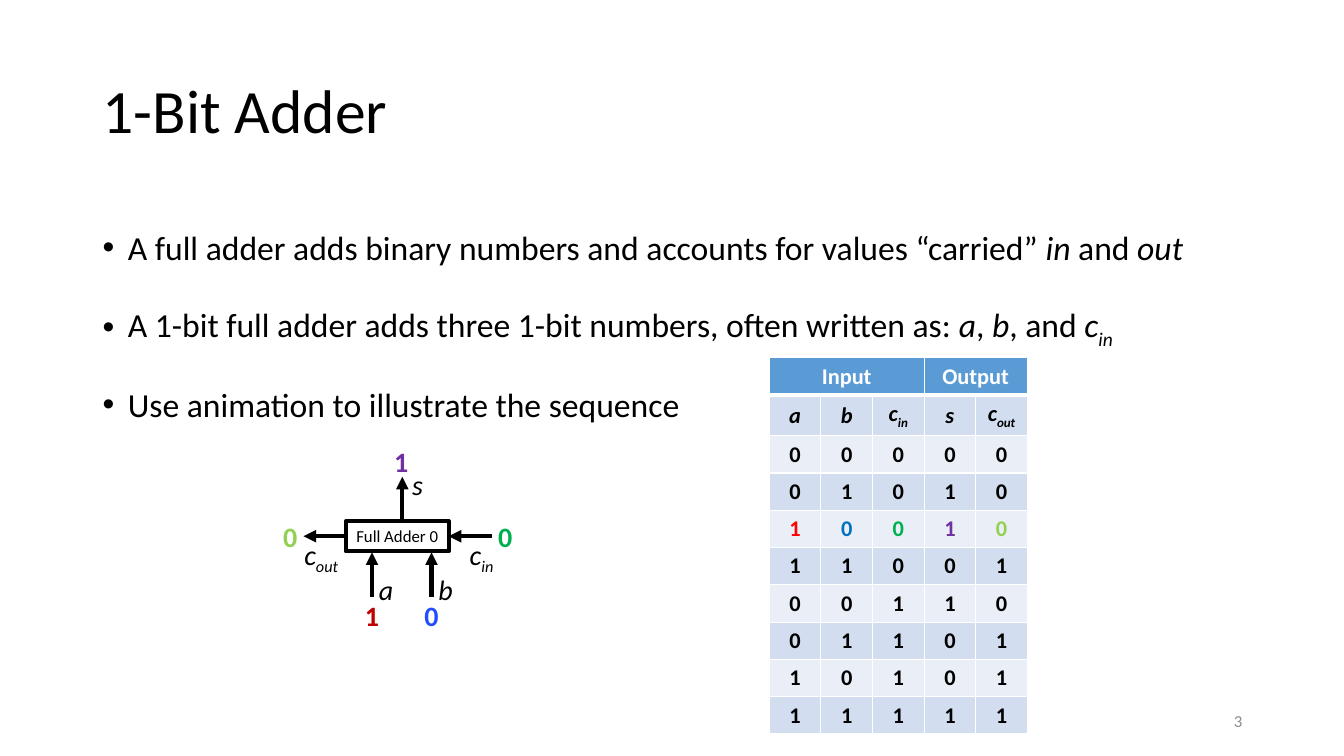
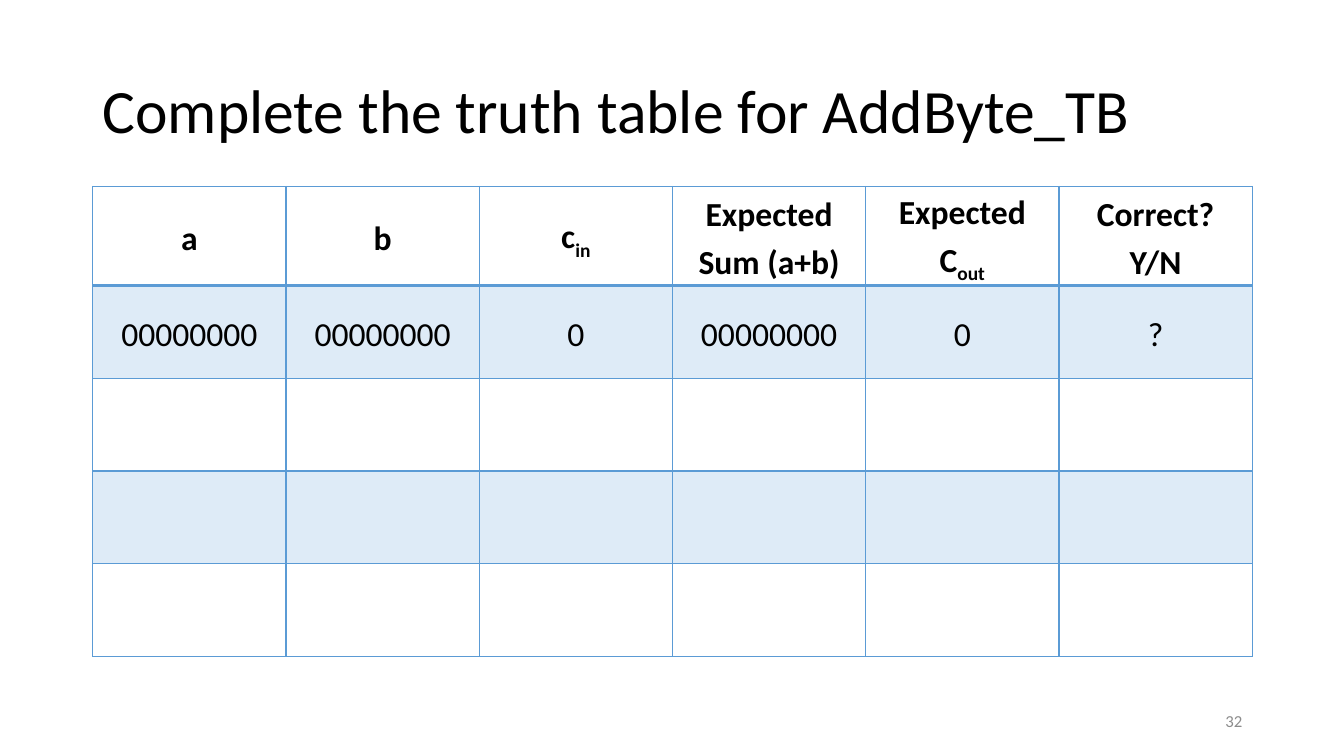
from pptx import Presentation
from pptx.dml.color import RGBColor
from pptx.enum.shapes import MSO_CONNECTOR, MSO_SHAPE
from pptx.enum.text import MSO_ANCHOR, PP_ALIGN
from pptx.oxml.ns import qn
from pptx.util import Inches, Pt
from lxml import etree

LEFT, CENTER, RIGHT = PP_ALIGN.LEFT, PP_ALIGN.CENTER, PP_ALIGN.RIGHT
TOP, MIDDLE = MSO_ANCHOR.TOP, MSO_ANCHOR.MIDDLE
STRAIGHT, RECTANGLE = MSO_CONNECTOR.STRAIGHT, MSO_SHAPE.RECTANGLE

FONT = "Calibri"
COLORS = {
    "black": "000000", "white": "FFFFFF", "gray": "8C8C8C",
    "blue": "5B9BD5", "band": "D2DEEF", "light band": "EAEFF7", "pale blue": "DEEBF7",
    "a": "C00000", "b": "244CFF", "carry in": "00B050", "sum": "7030A0", "carry out": "92D050",
    "a cell": "FF0000", "b cell": "0070C0",
}

C_IN = [("c", "i"), ("in", "is")]
C_OUT = [("c", "i"), ("out", "is")]

ADDER_TITLE = "1-Bit Adder"
BULLETS = [
    [("A full adder adds binary numbers and accounts for values “carried” ", ""),
     ("in ", "i"), ("and ", ""), ("out", "i")],
    [("A 1-bit full adder adds three 1-bit numbers, often written as: ", ""),
     ("a", "i"), (", ", ""), ("b", "i"), (", and ", "")] + C_IN,
    "Use animation to illustrate the sequence",
]
ADDER_BOX = (3.43, 5.17, 1.02, 0.3)
LEFT_SIDE, RIGHT_SIDE = 1, 3
WIRES = [
    {"name": [("a", "i")], "label": (3.66, 5.63, 0.35), "bit": "1", "color": "a",
     "bit center": (3.69, 6.1), "begin": (3.69, 5.92), "end": (3.69, 5.48)},
    {"name": [("b", "i")], "label": (4.25, 5.63, 0.35), "bit": "0", "color": "b",
     "bit center": (4.28, 6.1), "begin": (4.28, 5.92), "end": (4.28, 5.48)},
    {"name": C_IN, "label": (4.56, 5.28, 0.46), "bit": "0", "color": "carry in",
     "bit center": (5.01, 5.32), "begin": (4.88, 5.32), "end": RIGHT_SIDE},
    {"name": [("s", "i")], "label": (3.99, 4.59, 0.31), "bit": "1", "color": "sum",
     "bit center": (3.98, 4.58), "begin": (3.99, 5.17), "end": (3.99, 4.73)},
    {"name": C_OUT, "label": (2.92, 5.28, 0.57), "bit": "0", "color": "carry out",
     "bit center": (2.88, 5.32), "begin": LEFT_SIDE, "end": (3.01, 5.32)},
]
ADDER_TABLE = [
    ["Input", "", "", "Output", ""],
    [[("a", "i")], [("b", "i")], C_IN, [("s", "i")], C_OUT],
    "00000", "01010", "10010", "11001", "00110", "01101", "10101", "11111",
]
HEADER_SPANS = [(0, 2), (3, 4)]
ACTIVE_ROW = 4
ACTIVE_COLORS = ["a cell", "b cell", "carry in", "sum", "carry out"]

BYTE_TITLE = "Complete the truth table for AddByte_TB"
BYTE_TABLE = [
    ["a", "b", [("c", ""), ("in", "s")], "Expected Sum (a+b)",
     ["Expected", [("C", ""), ("out", "s")]], ["Correct?", "Y/N"]],
    ["00000000", "00000000", "0", "00000000", "0", "?"],
    [""] * 6, [""] * 6, [""] * 6,
]


def rgb(name):
    return RGBColor.from_string(COLORS[name])


def add_bullet(paragraph):
    properties = paragraph._p.get_or_add_pPr()
    properties.set("marL", str(Inches(0.25)))
    properties.set("indent", str(-Inches(0.25)))
    etree.SubElement(properties, qn("a:buFont")).set("typeface", "Arial")
    etree.SubElement(properties, qn("a:buChar")).set("char", "•")


def write_text(frame, paragraphs, size=20, color="black", bold=False, align=LEFT,
               spacing=None, before=0, bullet=False):
    for index, runs in enumerate(paragraphs):
        paragraph = frame.add_paragraph() if index else frame.paragraphs[0]
        if bullet:
            add_bullet(paragraph)
        paragraph.alignment = align
        if spacing:
            paragraph.line_spacing = spacing
        if index and before:
            paragraph.space_before = Pt(before)
        paragraph.font.size = Pt(size)
        for text, flags in [(runs, "")] if isinstance(runs, str) else runs:
            if not text:
                continue
            run = paragraph.add_run()
            run.text = text
            run.font.name = FONT
            run.font.size = Pt(size)
            run.font.bold = bold
            run.font.italic = "i" in flags
            run.font.color.rgb = rgb(color)
            if "s" in flags:
                run._r.get_or_add_rPr().set("baseline", "-25000")


def add_text(slide, paragraphs, box, anchor=TOP, wrap=True, **text_format):
    shape = slide.shapes.add_textbox(*map(Inches, box))
    shape.text_frame.word_wrap = wrap
    shape.text_frame.vertical_anchor = anchor
    write_text(shape.text_frame, paragraphs, **text_format)


def add_slide(presentation, title, number):
    slide = presentation.slides.add_slide(presentation.slide_layouts[6])
    add_text(slide, [title], (0.92, 0.4, 11.5, 1.45), anchor=MIDDLE, size=44, spacing=0.9)
    add_text(slide, [number], (9.42, 6.95, 3, 0.4), anchor=MIDDLE, size=12,
             color="gray", align=RIGHT)
    return slide


def add_arrow(slide, box, begin, end):
    begin_point, end_point = ((0, 0) if isinstance(point, int) else point
                              for point in (begin, end))
    arrow = slide.shapes.add_connector(
        STRAIGHT, *map(Inches, begin_point + end_point))
    if isinstance(begin, int):
        arrow.begin_connect(box, begin)
    if isinstance(end, int):
        arrow.end_connect(box, end)
    arrow.line.color.rgb = rgb("black")
    arrow.line.width = Pt(3)
    etree.SubElement(arrow.line._get_or_add_ln(), qn("a:tailEnd")).set("type", "triangle")
    etree.SubElement(arrow._element.spPr, qn("a:effectLst"))


def add_adder(slide):
    box = slide.shapes.add_shape(RECTANGLE, *map(Inches, ADDER_BOX))
    box.shadow.inherit = False
    box.fill.solid()
    box.fill.fore_color.rgb = rgb("white")
    box.line.color.rgb = rgb("black")
    box.line.width = Pt(3)
    box.text_frame.word_wrap = False
    box.text_frame.vertical_anchor = MIDDLE
    write_text(box.text_frame, ["Full Adder 0"], size=12, align=CENTER)
    bit_width, text_height = 0.34, 0.44
    for wire in WIRES:
        add_arrow(slide, box, wire["begin"], wire["end"])
        add_text(slide, [wire["name"]], wire["label"] + (text_height,), wrap=False)
        x, y = wire["bit center"]
        add_text(slide, [wire["bit"]],
                 (x - bit_width / 2, y - text_height / 2, bit_width, text_height),
                 anchor=MIDDLE, wrap=False, color=wire["color"], bold=True, align=CENTER)


def set_borders(cell, color, widths):
    properties = cell._tc.get_or_add_tcPr()
    for side, width in zip("LRTB", widths):
        line = etree.SubElement(properties, qn(f"a:ln{side}"), w=str(Pt(width)))
        fill = etree.SubElement(line, qn("a:solidFill"))
        etree.SubElement(fill, qn("a:srgbClr"), val=COLORS[color])


def add_grid(slide, rows, box, border, header_line, fills, cell_format, margins=None):
    columns = len(rows[0])
    table = slide.shapes.add_table(len(rows), columns, *map(Inches, box)).table
    table.first_row = table.horz_banding = False
    for column in table.columns:
        column.width = Inches(box[2] / columns)
    for row_index, row in enumerate(rows):
        table.rows[row_index].height = Inches(box[3] / len(rows))
        top = header_line if row_index == 1 else 1
        bottom = header_line if row_index == 0 else 1
        for column_index, content in enumerate(row):
            cell = table.cell(row_index, column_index)
            cell.vertical_anchor = MIDDLE
            if margins:
                cell.margin_left = cell.margin_right = Inches(margins[0])
                cell.margin_top = cell.margin_bottom = Inches(margins[1])
            set_borders(cell, border, (1, 1, top, bottom))
            fill = fills(row_index)
            if fill:
                cell.fill.solid()
                cell.fill.fore_color.rgb = rgb(fill)
            else:
                cell.fill.background()
            stacked = isinstance(content, list) and isinstance(content[0], str)
            write_text(cell.text_frame, content if stacked else [content], align=CENTER,
                       **cell_format(row_index, column_index))
    return table


def adder_fill(row):
    if row == 0:
        return "blue"
    return "band" if row % 2 else "light band"


def adder_format(row, column):
    color = "white" if row == 0 else "black"
    if row == ACTIVE_ROW:
        color = ACTIVE_COLORS[column]
    return {"size": 16, "bold": True, "color": color}


def byte_fill(row):
    return "pale blue" if row % 2 else None


def byte_format(row, column):
    return {"size": 24, "bold": row == 0, "spacing": 1.15}


def main():
    presentation = Presentation()
    presentation.slide_width = Inches(13.33)
    presentation.slide_height = Inches(7.5)

    slide = add_slide(presentation, ADDER_TITLE, "3")
    add_text(slide, BULLETS, (0.92, 2, 11.5, 2.21), size=24, spacing=1.5, before=10,
             bullet=True)
    add_adder(slide)
    table = add_grid(slide, ADDER_TABLE, (7.63, 3.55, 2.56, 3.7), "white", 3,
                     adder_fill, adder_format)
    for first, last in HEADER_SPANS:
        table.cell(0, first).merge(table.cell(0, last))

    slide = add_slide(presentation, BYTE_TITLE, "32")
    add_grid(slide, BYTE_TABLE, (0.92, 1.85, 11.5, 4.6), "blue", 2,
             byte_fill, byte_format, margins=(0.07, 0))

    presentation.save("out.pptx")


if __name__ == "__main__":
    main()
